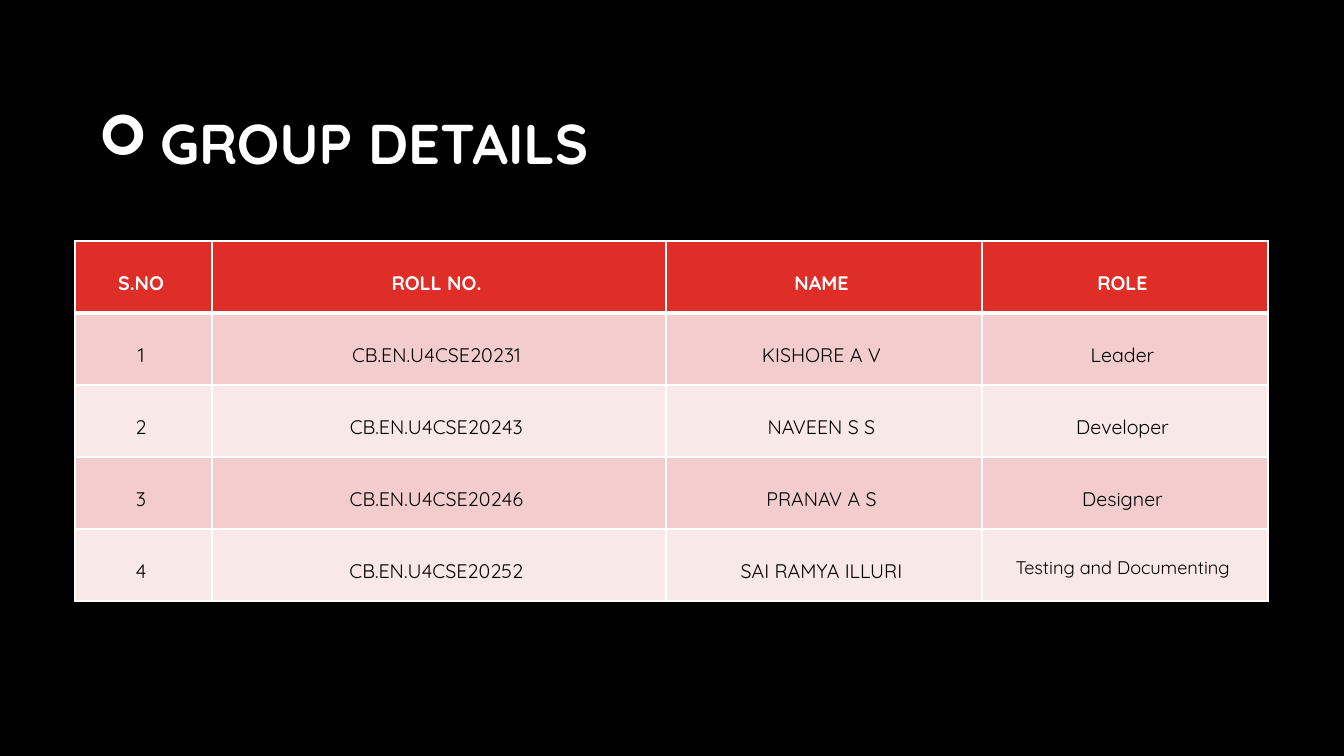
from lxml.etree import SubElement
from pptx import Presentation
from pptx.dml.color import RGBColor
from pptx.enum.text import MSO_ANCHOR, PP_ALIGN
from pptx.oxml.ns import qn
from pptx.util import Pt

PX = 9525 * 20 // 21  # EMU in one px, 1344 px across the slide
FONT = "Quicksand"
BLACK = RGBColor(0x00, 0x00, 0x00)
WHITE = RGBColor(0xFF, 0xFF, 0xFF)
RED = RGBColor(0xDF, 0x2E, 0x28)
ROSE = RGBColor(0xF3, 0xCD, 0xCD)
PALE = RGBColor(0xF9, 0xE8, 0xE8)


def style(para, size, color, bold):
    para.font.name = FONT
    para.font.size = Pt(size)
    para.font.color.rgb = color
    para.font.bold = bold


def edge(cell, side, width):
    line = SubElement(cell._tc.get_or_add_tcPr(), qn("a:" + side), w=str(Pt(width)))
    fill = SubElement(line, qn("a:solidFill"))
    SubElement(fill, qn("a:srgbClr"), val=str(WHITE))


# Slide
deck = Presentation()
deck.slide_width, deck.slide_height = 1344 * PX, 756 * PX
slide = deck.slides.add_slide(deck.slide_layouts[5])
slide.background.fill.solid()
slide.background.fill.fore_color.rgb = BLACK

# Title with arrow bullet
title = slide.shapes.title
title.left, title.top, title.width, title.height = 76 * PX, 75 * PX, 950 * PX, 142 * PX
frame = title.text_frame
frame.text = "GROUP DETAILS"
frame.vertical_anchor = MSO_ANCHOR.MIDDLE
head = frame.paragraphs[0]
head.alignment = PP_ALIGN.LEFT
head.line_spacing = 0.9
style(head, 40, WHITE, True)
props = head._p.get_or_add_pPr()
props.set("marL", str(74 * PX))
props.set("indent", str(-62 * PX))
SubElement(props, qn("a:buFont"), typeface="Wingdings")
SubElement(props, qn("a:buChar"), char="➢")
# The bullet must come ahead of the run defaults
props.append(props.find(qn("a:defRPr")))

# Table
rows = [
    ("S.NO", "ROLL NO.", "NAME", "ROLE"),
    ("1", "CB.EN.U4CSE20231", "KISHORE A V", "Leader"),
    ("2", "CB.EN.U4CSE20243", "NAVEEN S S", "Developer"),
    ("3", "CB.EN.U4CSE20246", "PRANAV A S", "Designer"),
    ("4", "CB.EN.U4CSE20252", "SAI RAMYA ILLURI", "Testing and Documenting"),
]
wide = [137, 454, 316, 286]
high = 72
table = slide.shapes.add_table(
    len(rows), len(wide), 75 * PX, 241 * PX, sum(wide) * PX, len(rows) * high * PX
).table
for col, width in zip(table.columns, wide):
    col.width = width * PX

for r, row in enumerate(rows):
    table.rows[r].height = high * PX
    for c, text in enumerate(row):
        cell = table.cell(r, c)
        cell.text = text
        cell.margin_right = 15 * PX
        para = cell.text_frame.paragraphs[0]
        para.alignment = PP_ALIGN.CENTER
        para.line_spacing = 2.0
        size = 13 if text == "Testing and Documenting" else 14
        style(para, size, BLACK if r else WHITE, r == 0)
        # Borders: a heavy rule under the header row
        for side in ("lnL", "lnR", "lnT", "lnB"):
            rule = (r, side) in ((0, "lnB"), (1, "lnT"))
            edge(cell, side, 3 if rule else 1)
        cell.fill.solid()
        cell.fill.fore_color.rgb = (ROSE if r % 2 else PALE) if r else RED

deck.save("out.pptx")
